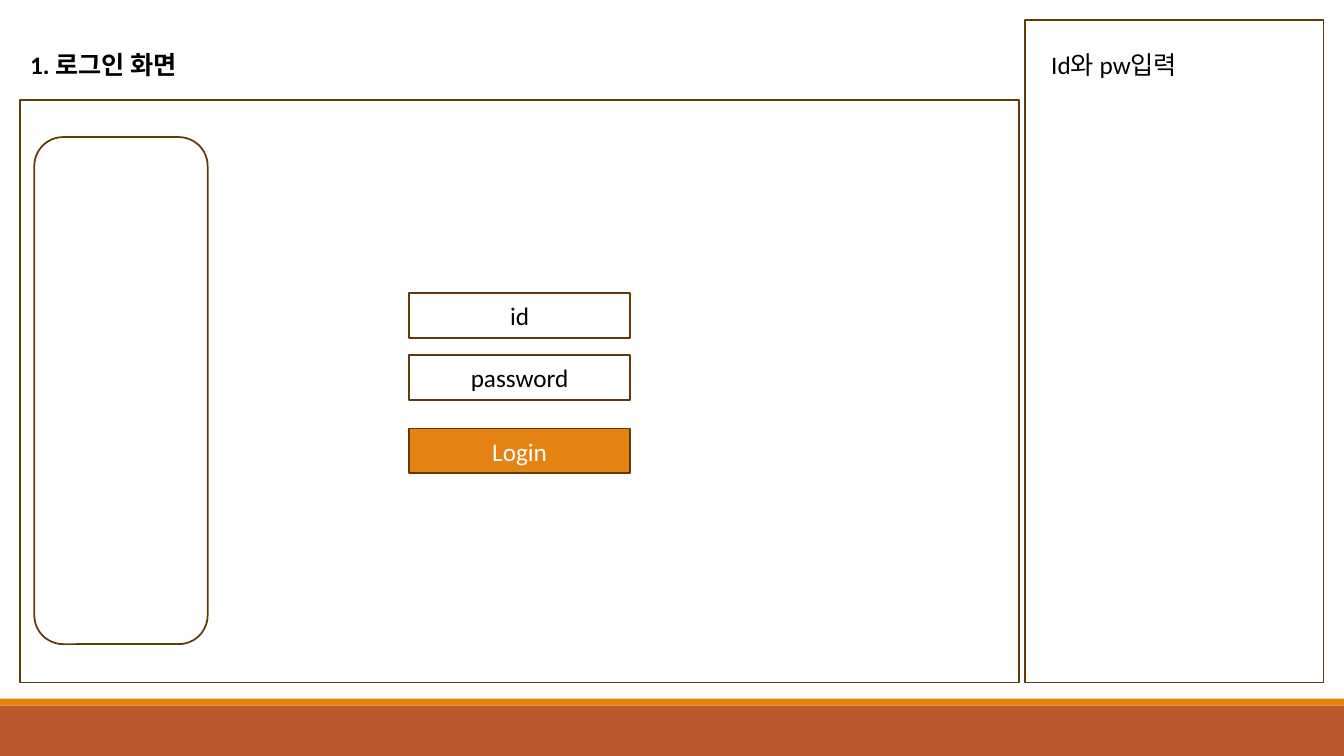
"""Builds the login screen wireframe slide."""
from dataclasses import dataclass

from pptx import Presentation
from pptx.dml.color import RGBColor
from pptx.enum.shapes import MSO_SHAPE
from pptx.enum.text import MSO_ANCHOR, MSO_AUTO_SIZE, PP_ALIGN
from pptx.util import Inches, Pt

RECT, ROUNDED = MSO_SHAPE.RECTANGLE, MSO_SHAPE.ROUNDED_RECTANGLE
TOP, MIDDLE = MSO_ANCHOR.TOP, MSO_ANCHOR.MIDDLE
LEFT, CENTER = PP_ALIGN.LEFT, PP_ALIGN.CENTER
NO_AUTOFIT = MSO_AUTO_SIZE.NONE
SLIDE_WIDTH, SLIDE_HEIGHT = Inches(13.333), Inches(7.5)
TITLE_ONLY = 5


@dataclass(frozen=True)
class Theme:
    """Colours and type sizes of the slide."""
    rust: RGBColor = RGBColor(0xBD, 0x58, 0x2C)
    orange: RGBColor = RGBColor(0xE4, 0x83, 0x12)
    brown: RGBColor = RGBColor(0x64, 0x39, 0x08)
    black: RGBColor = RGBColor(0, 0, 0)
    white: RGBColor = RGBColor(255, 255, 255)
    font: str = "Calibri"
    text_size: Pt = Pt(18)
    outline: Pt = Pt(1.25)


THEME = Theme()


def apply_format(target, values):
    """Set every attribute named in values on the target."""
    for name, value in values.items():
        setattr(target, name, value)


def box_of(left, top, width, height):
    """Turn percentages of the slide into a position and size."""
    return (int(SLIDE_WIDTH * left / 100), int(SLIDE_HEIGHT * top / 100),
            int(SLIDE_WIDTH * width / 100), int(SLIDE_HEIGHT * height / 100))


def write_text(holder, words, color, align=LEFT, anchor=TOP, bold=False):
    """Write one formatted paragraph into a shape."""
    frame = holder.text_frame
    apply_format(frame, {"word_wrap": True, "auto_size": NO_AUTOFIT,
                         "vertical_anchor": anchor})
    paragraph = frame.paragraphs[0]
    paragraph.alignment = align
    run = paragraph.add_run()
    run.text = words
    apply_format(run.font, {"name": THEME.font, "size": THEME.text_size, "bold": bold})
    run.font.color.rgb = color


def add_panel(slide, box, fill=None, outlined=True, preset=RECT):
    """Add a flat panel with an optional fill and outline."""
    panel = slide.shapes.add_shape(preset, *box_of(*box))
    panel.shadow.inherit = False
    if fill is None:
        panel.fill.background()
    else:
        panel.fill.solid()
        panel.fill.fore_color.rgb = fill
    if outlined:
        panel.line.color.rgb = THEME.brown
        panel.line.width = THEME.outline
    else:
        panel.line.fill.background()
    return panel


def add_title(slide, words, box):
    """Place and fill the title placeholder."""
    title = slide.shapes.title
    apply_format(title, dict(zip(("left", "top", "width", "height"), box_of(*box))))
    write_text(title, words, THEME.black, bold=True)


def add_note(slide, words, box):
    """Add the description beside the screen."""
    write_text(slide.shapes.add_textbox(*box_of(*box)), words, THEME.black)


def add_login_form(slide):
    """Add the two input fields and the login button."""
    for words, top, fill, color in (
            ("id", 38.8, None, THEME.black),
            ("password", 46.93, None, THEME.black),
            ("Login", 56.67, THEME.orange, THEME.white)):
        field = add_panel(slide, (30.45, top, 16.43, 5.95), fill)
        write_text(field, words, color, CENTER, MIDDLE)


def main():
    """Build and save the slide."""
    deck = Presentation()
    apply_format(deck, {"slide_width": SLIDE_WIDTH, "slide_height": SLIDE_HEIGHT})
    slide = deck.slides.add_slide(deck.slide_layouts[TITLE_ONLY])
    add_panel(slide, (0, 93.33, 100, 6.67), THEME.rust, outlined=False)
    add_panel(slide, (0, 92.4, 100, 0.93), THEME.orange, outlined=False)
    add_panel(slide, (2.55, 18.13, 12.9, 67.07), preset=ROUNDED)
    add_panel(slide, (1.5, 13.2, 74.33, 77.07))
    add_panel(slide, (76.28, 2.67, 22.2, 87.6))
    add_login_form(slide)
    add_title(slide, "1. 로그인 화면", (1.5, 5.87, 49.95, 5.33))
    add_note(slide, "Id와 pw입력", (77.48, 5.87, 11.4, 5.33))
    deck.save("out.pptx")


if __name__ == "__main__":
    main()
